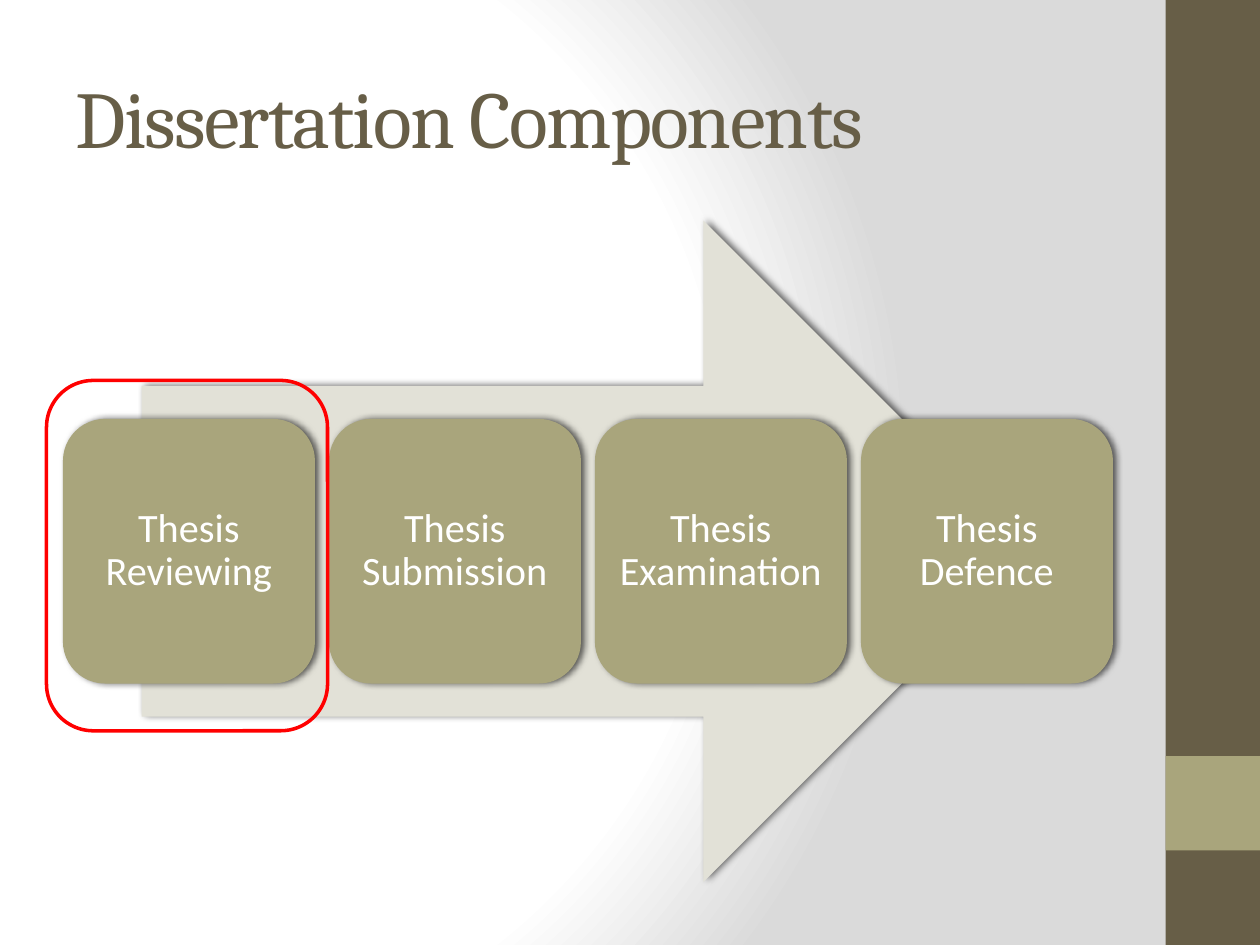
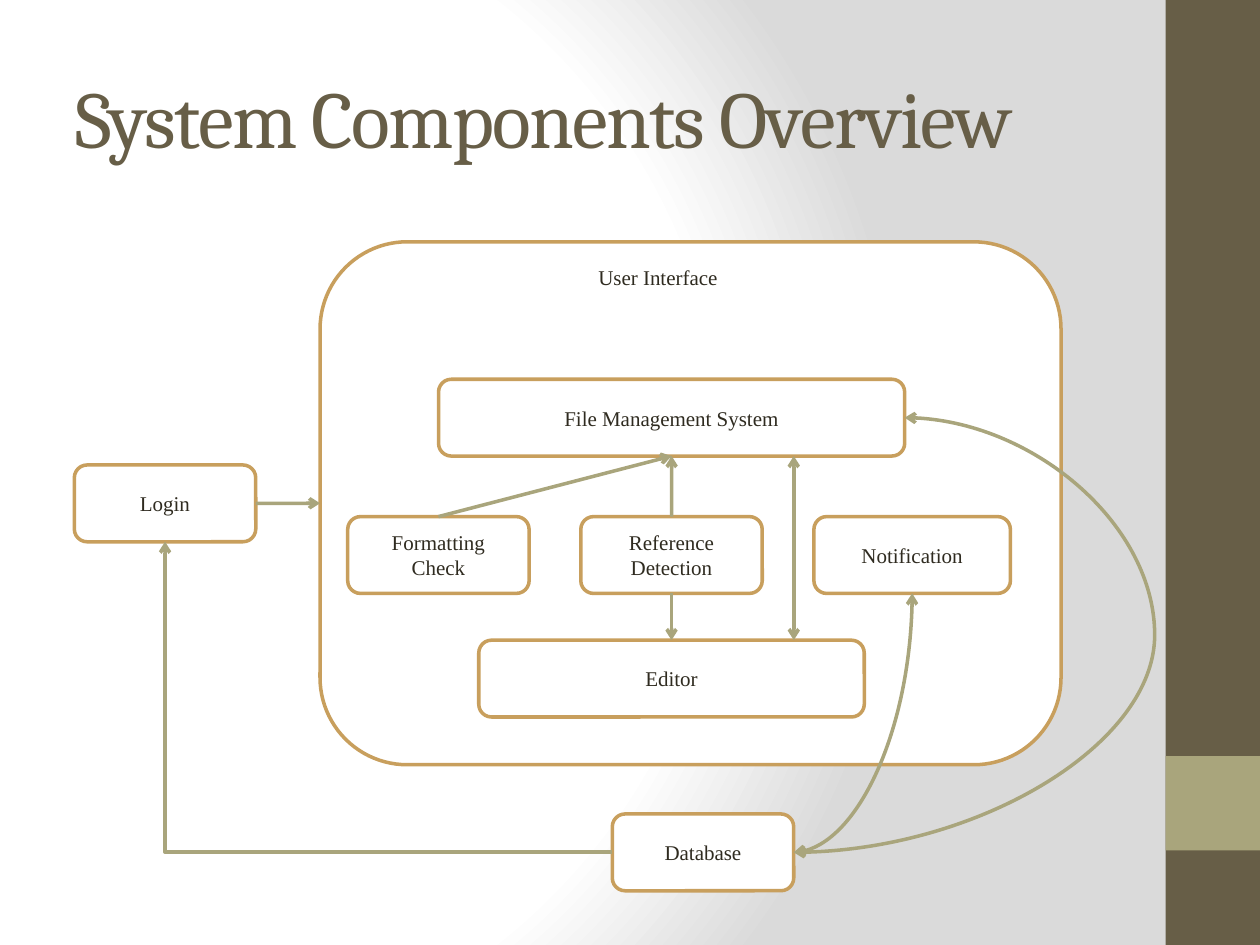
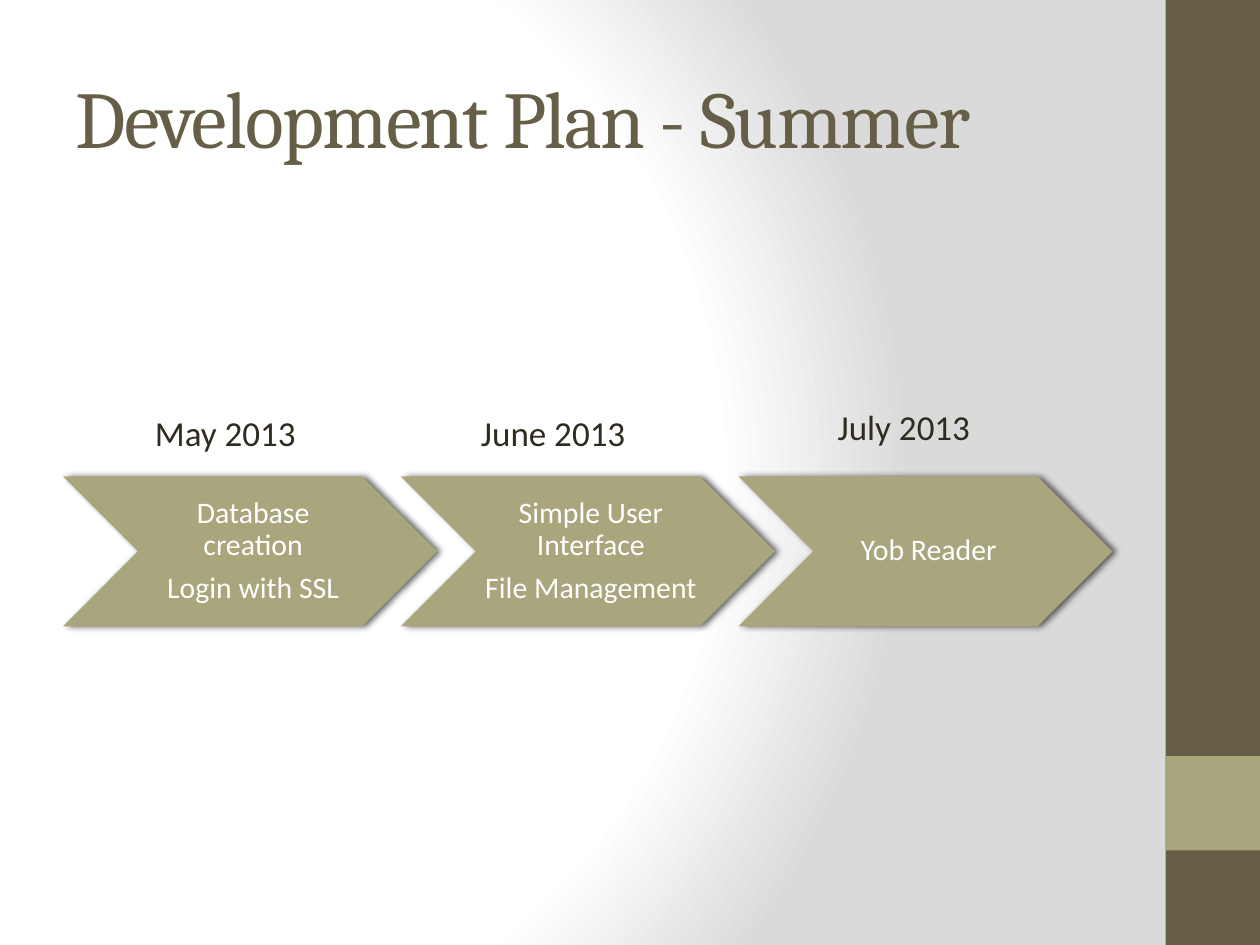
from pptx import Presentation
from pptx.dml.color import RGBColor
from pptx.enum.shapes import MSO_CONNECTOR, MSO_SHAPE
from pptx.enum.text import MSO_ANCHOR, PP_ALIGN
from pptx.oxml import parse_xml
from pptx.oxml.ns import nsdecls, qn
from pptx.util import Pt
from lxml.etree import SubElement

COLOURS = {
    "brown": "675E47", "olive": "A9A57C", "pale": "E2E1D7", "gold": "C89F5D",
    "ink": "2F2B20", "white": "FFFFFF", "grey": "DADADA", "red": "FF0000",
    "black": "000000",
}
FONTS = {
    "title": ("Cambria", 46, "brown"),
    "step": ("Calibri", 23, "white"),
    "task": ("Calibri", 17, "white"),
    "month": ("Calibri", 20, "ink"),
    "node": ("Times New Roman", 12, "ink"),
}
SLIDE_SIZE = (720, 540)
TITLE_AREA = (36, 21.6, 600, 90)
BANDS = [((666, 0, 54, 540), "brown"), ((666, 432, 54, 54), "olive")]
CONTENT_LEFT = 36

STEPS = ["Thesis Reviewing", "Thesis Submission", "Thesis Examination", "Thesis Defence"]
STEP_ARROW = (81, 126, 510, 378)
STEP_TOP, STEP_WIDTH, STEP_HEIGHT, STEP_PITCH = 239.4, 144, 151.2, 152
HIGHLIGHT = (26.6, 217.4, 160.6, 200.2)

INTERFACE = "User Interface"
INTERFACE_AREA = (182.9, 138.2, 423.4, 298.8)
INTERFACE_LABEL = (334.8, 147.6, 83.5, 21.6)
NODE_HEIGHT = 43.9
NODES = {
    "Login": (42.5, 265.7, 103.7),
    "File Management System": (250.6, 216.7, 266.4),
    "Notification": (465.1, 295.2, 112.3),
    "Reference Detection": (331.9, 295.2, 103.7),
    "Formatting Check": (198.7, 295.2, 103.7),
    "Editor": (273.6, 365.8, 220.3),
    "Database": (349.9, 465.1, 103.7),
}
TOP, LEFT, BOTTOM, RIGHT = range(4)
LINKS = [
    ("Login", RIGHT, INTERFACE, LEFT, "line", "tail"),
    ("File Management System", RIGHT, "Database", RIGHT, "wide curve", "head tail"),
    ("Formatting Check", TOP, "File Management System", BOTTOM, "line", "tail"),
    ("Reference Detection", TOP, "File Management System", BOTTOM, "line", "tail"),
    ("Reference Detection", BOTTOM, "Editor", TOP, "line", "tail"),
    ("Database", RIGHT, "Notification", BOTTOM, "curve", "head tail"),
    ("Database", LEFT, "Login", BOTTOM, "elbow", "tail"),
]
ROUTES = {
    "line": (MSO_CONNECTOR.STRAIGHT, "line", None),
    "wide curve": (MSO_CONNECTOR.CURVE, "curvedConnector3", -225300),
    "curve": (MSO_CONNECTOR.CURVE, "curvedConnector2", None),
    "elbow": (MSO_CONNECTOR.ELBOW, "bentConnector2", None),
}

MONTHS = [
    ("May 2013", (81.4, 231.8, 96.5, 31.7), ["Database creation", "Login with SSL"]),
    ("June 2013", (267.8, 231.8, 97.9, 31.7), ["Simple User Interface", "File Management"]),
    ("July 2013", (471.6, 228.2, 90.7, 31.7), ["Yob Reader"]),
]
CHEVRON_TOP, CHEVRON_WIDTH, CHEVRON_HEIGHT, CHEVRON_PITCH = 272.2, 213.8, 85.7, 193


def colour(name):
    return RGBColor.from_string(COLOURS[name])


def apply(target, formats):
    for name, value in formats.items():
        setattr(target, name, value)


def place(shape, area):
    apply(shape, dict(zip(("left", "top", "width", "height"), map(Pt, area))))


def write(shape, lines, style, frame_formats={}, para_formats={}):
    font, size, ink = FONTS[style]
    frame = shape.text_frame
    apply(frame, frame_formats)
    for index, line in enumerate(lines):
        para = frame.add_paragraph() if index else frame.paragraphs[0]
        apply(para, para_formats)
        span = para.add_run()
        span.text = line
        apply(span.font, {"name": font, "size": Pt(size)})
        span.font.color.rgb = colour(ink)
    return frame


def add_shape(page, kind, area, fill=None, line=None, shadow=False):
    shape = page.shapes.add_shape(kind, *map(Pt, area))
    shape.shadow.inherit = False
    if fill:
        shape.fill.solid()
        shape.fill.fore_color.rgb = colour(fill)
    else:
        shape.fill.background()
    if line:
        shape.line.color.rgb = colour(line)
        shape.line.width = Pt(2)
    else:
        shape.line.fill.background()
    if shadow:
        effects = shape.element.spPr.find(qn("a:effectLst"))
        outer = SubElement(effects, qn("a:outerShdw"), blurRad=str(Pt(4)), dist=str(Pt(2)),
                           dir="0", algn="ctr", rotWithShape="0")
        tint = SubElement(outer, qn("a:srgbClr"), val=COLOURS["black"])
        SubElement(tint, qn("a:alpha"), val="60000")
    return shape


def add_label(page, text, area, style):
    box = page.shapes.add_textbox(*map(Pt, area))
    write(box, [text], style, {"word_wrap": False})


def style_line(link, ends):
    link.line.color.rgb = colour("olive")
    link.line.width = Pt(2)
    for end in ends.split():
        SubElement(link.line._get_or_add_ln(), qn(f"a:{end}End"), type="arrow")
    SubElement(link.element.spPr, qn("a:effectLst"))


def add_link(page, shapes, start, start_side, finish, finish_side, route, ends):
    kind, preset, bend = ROUTES[route]
    link = page.shapes.add_connector(kind, 0, 0, 0, 0)
    link.begin_connect(shapes[start], start_side)
    link.end_connect(shapes[finish], finish_side)
    geometry = link.element.spPr.find(qn("a:prstGeom"))
    geometry.set("prst", preset)
    if bend:
        guides = geometry.find(qn("a:avLst"))
        SubElement(guides, qn("a:gd"), name="adj1", fmla=f"val {bend}")
    style_line(link, ends)


def add_page(deck, title):
    page = deck.slides.add_slide(deck.slide_layouts[5])
    place(page.shapes.title, TITLE_AREA)
    frame = write(page.shapes.title, [title], "title",
                  {"vertical_anchor": MSO_ANCHOR.MIDDLE}, {"alignment": PP_ALIGN.LEFT})
    frame.paragraphs[0].runs[0].font._element.set("spc", "-100")
    return page


def dress_master(deck, page):
    master = deck.slide_master
    master.background.fill.solid()
    backdrop = master.element.find(".//" + qn("p:bgPr"))
    stops = "".join(
        f'<a:gs pos="{position}"><a:srgbClr val="{COLOURS[name]}"/></a:gs>'
        for position, name in ((0, "white"), (75000, "white"), (100000, "grey")))
    backdrop.replace(backdrop[0], parse_xml(
        f'<a:gradFill {nsdecls("a")} rotWithShape="1"><a:gsLst>{stops}</a:gsLst>'
        '<a:path path="circle"><a:fillToRect l="20000" t="50000" r="100000" b="50000"/>'
        '</a:path></a:gradFill>'))
    for position, (area, fill) in enumerate(BANDS, 2):
        band = add_shape(page, MSO_SHAPE.RECTANGLE, area, fill)
        master.shapes.element.insert(position, band.element)


def build_components(page):
    add_shape(page, MSO_SHAPE.RIGHT_ARROW, STEP_ARROW, "pale", shadow=True)
    margins = dict.fromkeys(("margin_left", "margin_top", "margin_right", "margin_bottom"), Pt(7.2))
    for index, step in enumerate(STEPS):
        area = (CONTENT_LEFT + index * STEP_PITCH, STEP_TOP, STEP_WIDTH, STEP_HEIGHT)
        tile = add_shape(page, MSO_SHAPE.ROUNDED_RECTANGLE, area, "olive", shadow=True)
        write(tile, [step], "step", margins,
              {"alignment": PP_ALIGN.CENTER, "line_spacing": 0.9, "space_after": Pt(8)})
    add_shape(page, MSO_SHAPE.ROUNDED_RECTANGLE, HIGHLIGHT, line="red")


def build_overview(page):
    shapes = {INTERFACE: add_shape(page, MSO_SHAPE.ROUNDED_RECTANGLE, INTERFACE_AREA,
                                   "white", "gold")}
    add_label(page, INTERFACE, INTERFACE_LABEL, "node")
    for name, area in NODES.items():
        node = add_shape(page, MSO_SHAPE.ROUNDED_RECTANGLE, (*area, NODE_HEIGHT), "white", "gold")
        write(node, [name], "node", para_formats={"alignment": PP_ALIGN.CENTER})
        shapes[name] = node
    for link in LINKS:
        add_link(page, shapes, *link)
    database, manager = shapes["Database"], shapes["File Management System"]
    right = database.left + database.width
    link = page.shapes.add_connector(MSO_CONNECTOR.STRAIGHT, right, manager.top + manager.height,
                                     right, shapes["Editor"].top)
    style_line(link, "head tail")


def build_plan(page):
    margins = {"margin_left": Pt(5), "margin_top": Pt(1.4),
               "margin_right": Pt(1.4), "margin_bottom": Pt(1.4)}
    for index, (month, label_area, tasks) in enumerate(MONTHS):
        area = (CONTENT_LEFT + index * CHEVRON_PITCH, CHEVRON_TOP, CHEVRON_WIDTH, CHEVRON_HEIGHT)
        chevron = add_shape(page, MSO_SHAPE.CHEVRON, area, "olive", shadow=True)
        write(chevron, tasks, "task", margins,
              {"alignment": PP_ALIGN.CENTER, "line_spacing": 0.9, "space_after": Pt(6)})
        add_label(page, month, label_area, "month")


PAGES = [
    ("Dissertation Components", build_components),
    ("System Components Overview", build_overview),
    ("Development Plan - Summer", build_plan),
]

deck = Presentation()
apply(deck, dict(zip(("slide_width", "slide_height"), map(Pt, SLIDE_SIZE))))
for number, (title, build) in enumerate(PAGES):
    page = add_page(deck, title)
    if number == 0:
        dress_master(deck, page)
    build(page)
deck.save("out.pptx")
